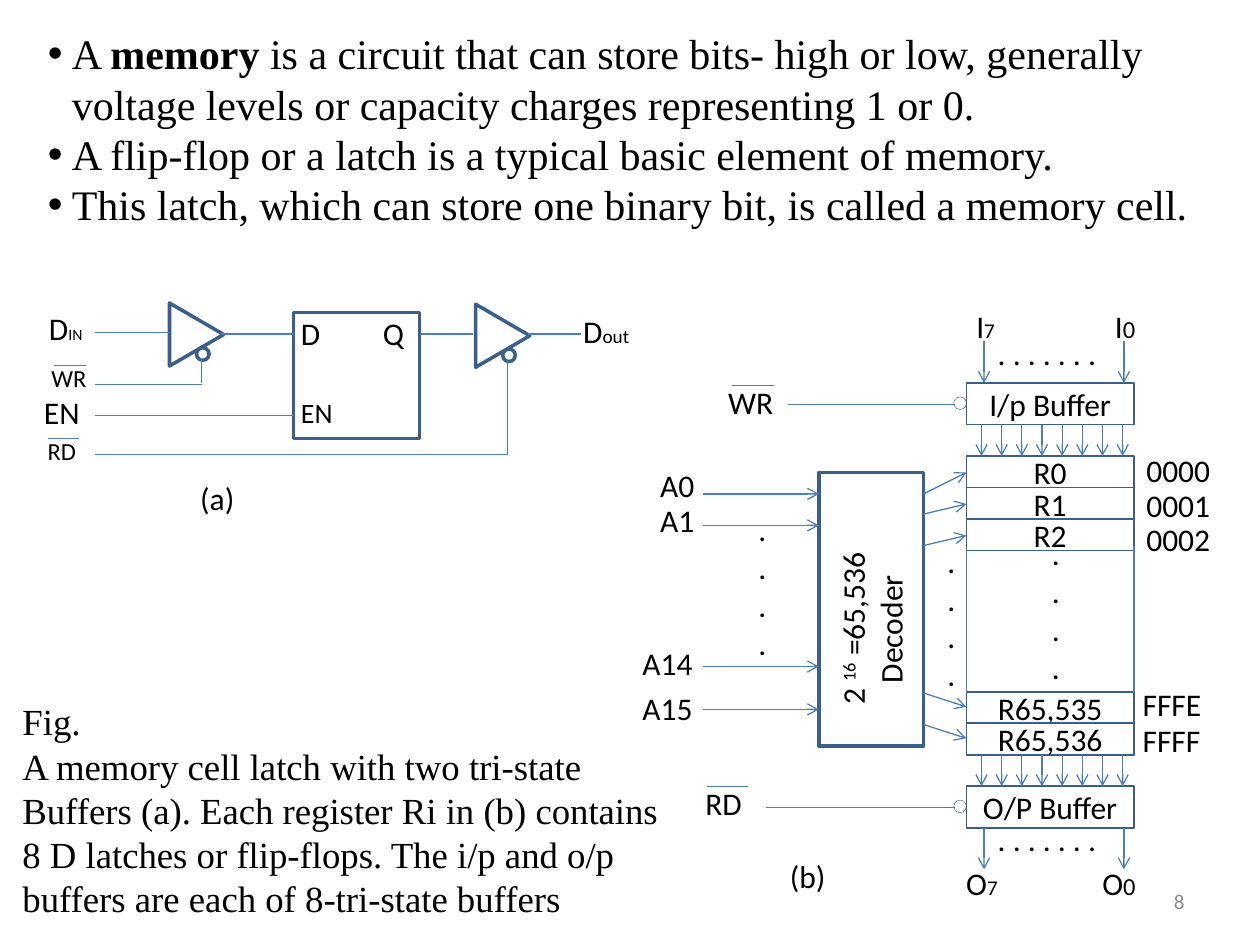
from dataclasses import dataclass
from typing import NamedTuple

from lxml import etree
from pptx import Presentation
from pptx.dml.color import RGBColor
from pptx.enum.shapes import MSO_CONNECTOR, MSO_SHAPE
from pptx.enum.text import MSO_ANCHOR, MSO_AUTO_SIZE, PP_ALIGN
from pptx.oxml.ns import qn
from pptx.util import Inches, Pt

RECT, TRIANGLE, CIRCLE = MSO_SHAPE.RECTANGLE, MSO_SHAPE.ISOSCELES_TRIANGLE, MSO_SHAPE.FLOWCHART_CONNECTOR
STRAIGHT = MSO_CONNECTOR.STRAIGHT
LEFT, CENTER, RIGHT = PP_ALIGN.LEFT, PP_ALIGN.CENTER, PP_ALIGN.RIGHT
TOP, MIDDLE = MSO_ANCHOR.TOP, MSO_ANCHOR.MIDDLE
FIT, FIXED = MSO_AUTO_SIZE.SHAPE_TO_FIT_TEXT, MSO_AUTO_SIZE.NONE


@dataclass(frozen=True)
class Theme:
    ink: RGBColor = RGBColor(0, 0, 0)
    muted: RGBColor = RGBColor(0x8C, 0x8C, 0x8C)
    outline: RGBColor = RGBColor(0x3A, 0x5F, 0x8C)
    wire: RGBColor = RGBColor(0x4B, 0x7E, 0xBC)
    label_font: str = "Calibri"
    text_font: str = "Times New Roman"
    body: float = 24
    caption: float = 21
    label: float = 18
    port: float = 16
    small: float = 14
    tiny: float = 12
    out_sub: float = 11
    in_sub: float = 9
    thick: float = 2
    thin: float = 1
    wire_width: float = 0.75
    hairline: float = 0.25


T = Theme()


class Label(NamedTuple):
    text: str
    x: float
    y: float
    w: float
    size: float = T.label
    sub: str = ""
    sub_size: float = T.small
    h: float = 0.4


class Wire(NamedTuple):
    x1: float
    y1: float
    x2: float
    y2: float


def style(r, size: float, font: str = T.label_font, color: RGBColor = T.ink) -> None:
    r.font.size, r.font.name = Pt(size), font
    r.font.color.rgb = color


def style_all(tf, size: float, font: str = T.label_font, color: RGBColor = T.ink, align=LEFT) -> None:
    for p in tf.paragraphs:
        p.alignment = align
        for r in p.runs:
            style(r, size, font, color)


def add_box(shapes, x: float, y: float, w: float, h: float, text: str, size: float,
            font: str = T.label_font, color: RGBColor = T.ink, align=LEFT, anchor=TOP):
    tf = shapes.add_textbox(Inches(x), Inches(y), Inches(w), Inches(h)).text_frame
    tf.word_wrap, tf.vertical_anchor = True, anchor
    tf.text = text
    style_all(tf, size, font, color, align)
    return tf


def add_label(shapes, label: Label) -> None:
    tf = add_box(shapes, label.x, label.y, label.w, label.h, label.text, label.size)
    tf.word_wrap, tf.auto_size = False, FIT
    if label.sub:
        r = tf.paragraphs[0].add_run()
        r.text = label.sub
        style(r, label.sub_size)


def add_outline(shapes, kind, x: float, y: float, w: float, h: float, width: float,
                text: str = "", rotation: float = 0):
    sp = shapes.add_shape(kind, Inches(x), Inches(y), Inches(w), Inches(h))
    sp.shadow.inherit = False
    sp.fill.background()
    sp.line.color.rgb, sp.line.width = T.outline, Pt(width)
    sp.rotation = rotation
    if text:
        tf = sp.text_frame
        tf.text, tf.vertical_anchor = text, MIDDLE
        style_all(tf, T.label, align=CENTER)
    return sp


def add_wire(shapes, wire: Wire, arrow: bool = False) -> None:
    x1, y1, x2, y2 = (Inches(v) for v in wire)
    cx = shapes.add_connector(STRAIGHT, x1, y1, x2, y2)
    cx.line.color.rgb, cx.line.width = T.wire, Pt(T.wire_width)
    if arrow:
        etree.SubElement(cx.line._get_or_add_ln(), qn("a:tailEnd"), type="arrow")
    etree.SubElement(cx._element.spPr, qn("a:effectLst"))


def indent(p, left: float, first: float = 0) -> None:
    pPr = p._p.get_or_add_pPr()
    pPr.set("marL", str(Inches(left)))
    pPr.set("indent", str(Inches(first)))


def add_bullets(s) -> None:
    title, body = s.placeholders[0], s.placeholders[1]
    title._element.getparent().remove(title._element)
    body.left, body.top, body.width, body.height = Inches(0.28), Inches(0.17), Inches(9.47), Inches(1.72)
    tf = body.text_frame
    tf.auto_size, tf.word_wrap = FIXED, True
    tf.text = ("A \n"
               "A flip-flop or a latch is a typical basic element of memory.\n"
               "This latch, which can store one binary bit, is called a memory cell.")
    first = tf.paragraphs[0]
    term, rest = first.add_run(), first.add_run()
    term.text, term.font.bold = "memory", True
    rest.text = (" is a circuit that can store bits- high or low, generally voltage levels "
                 "or capacity charges representing 1 or 0.")
    for p in tf.paragraphs:
        indent(p, 0.19, -0.19)
        p.space_before = Pt(0)
    style_all(tf, T.body, T.text_font)


def draw_latch(shapes) -> None:
    for x, y in ((1.31, 2.44), (3.74, 2.45)):
        add_outline(shapes, TRIANGLE, x, y, 0.5, 0.43, T.thick, rotation=90)
        add_outline(shapes, CIRCLE, x + 0.25, y + 0.32, 0.1, 0.1, T.thick)
    add_outline(shapes, RECT, 2.33, 2.48, 1, 1, T.thick)
    for wire in (Wire(1.75, 2.65, 2.33, 2.65), Wire(0.75, 2.64, 1.35, 2.64), Wire(1.6, 2.84, 1.6, 3.04),
                 Wire(0.75, 3.05, 1.6, 3.05), Wire(0.75, 3.3, 2.33, 3.3), Wire(3.33, 2.65, 3.75, 2.65),
                 Wire(4.03, 2.86, 4.03, 3.61), Wire(0.75, 3.61, 4.03, 3.61), Wire(4.19, 2.65, 4.61, 2.65),
                 Wire(0.43, 2.9, 0.68, 2.9), Wire(0.38, 3.48, 0.63, 3.48)):
        add_wire(shapes, wire)
    for label in (Label("D", 2.29, 2.44, 0.38), Label("Q", 2.94, 2.44, 0.4),
                  Label("EN", 2.29, 3.09, 0.51, T.port, h=0.37),
                  Label("D", 0.29, 2.4, 0.52, sub="IN", sub_size=T.in_sub),
                  Label("WR", 0.31, 2.83, 0.53, T.small, h=0.34), Label("EN", 0.25, 3.07, 0.55),
                  Label("RD", 0.28, 3.41, 0.49, T.small, h=0.34),
                  Label("D", 4.53, 2.43, 0.62, sub="out", sub_size=T.out_sub)):
        add_label(shapes, label)


def draw_decoder(shapes) -> None:
    sp = add_outline(shapes, RECT, 5.83, 4.42, 2.17, 0.83, T.thick, "2 \nDecoder", 270)
    base, name = sp.text_frame.paragraphs
    power, total = base.add_run(), base.add_run()
    power.text, total.text = "16", " =65,536"
    power.font._element.set("baseline", "30000")
    style_all(sp.text_frame, T.label)
    indent(base, 0.23)
    indent(name, 0.4)
    for text, x, y, w, wire_y in (("A0", 5.14, 3.65, 0.51, 3.92), ("A1", 5.14, 3.93, 0.51, 4.17),
                                  ("A14", 5, 5.06, 0.65, 5.29), ("A15", 5, 5.42, 0.65, 5.63)):
        add_label(shapes, Label(text, x, y, w))
        add_wire(shapes, Wire(5.58, wire_y, 6.5, wire_y), arrow=True)
    for y1, y2 in ((3.92, 3.75), (4.08, 4), (4.33, 4.25), (5.5, 5.61), (5.75, 5.86)):
        add_wire(shapes, Wire(7.33, y1, 7.67, y2), arrow=True)


def draw_registers(shapes) -> None:
    for start, names in ((3.62, ("R0", "R1", "R2")), (5.49, ("R65,535", "R65,536"))):
        for i, name in enumerate(names):
            add_outline(shapes, RECT, 7.67, start + 0.25 * i, 1.33, 0.25, T.thin, name)
    for x in (7.67, 9):
        add_wire(shapes, Wire(x, 4.33, x, 5.5))
    for x, y in ((7.42, 4.25), (5.92, 4), (8.25, 4.19)):
        add_box(shapes, x, y, 0.25, 1.31, "\n".join("...."), T.label)
    for text, x, y in (("0000", 9, 3.53), ("0001", 9, 3.81), ("0002", 9, 4.08),
                       ("FFFE", 8.97, 5.39), ("FFFF", 8.97, 5.67)):
        add_label(shapes, Label(text, x, y, 0.8))


def draw_buffer(shapes, name: str, top: float, pins: float, bus: float, dots: float,
                control: Label, control_x: float, bar: Wire) -> None:
    add_outline(shapes, RECT, 7.67, top, 1.33, 0.33, T.thin, name)
    for x in (7.81, 8.92):
        add_wire(shapes, Wire(x, pins, x, pins + 0.33), arrow=True)
    for i in range(8):
        x = 7.79 + 0.16 * i
        add_wire(shapes, Wire(x, bus, x, bus + 0.25), arrow=True)
    add_label(shapes, Label(". . . . . . .", 7.82, dots, 1.11))
    add_outline(shapes, CIRCLE, 7.57, top + 0.11, 0.1, 0.1, T.hairline)
    add_wire(shapes, Wire(control_x, top + 0.17, 7.58, top + 0.17))
    add_label(shapes, control)
    add_wire(shapes, bar)


def draw_memory(shapes) -> None:
    draw_decoder(shapes)
    draw_registers(shapes)
    draw_buffer(shapes, "I/p Buffer", 3.04, 2.71, 3.37, 2.6,
                Label("WR", 5.68, 2.99, 0.62), 6.25, Wire(5.81, 3.06, 6.14, 3.06))
    draw_buffer(shapes, "O/P Buffer", 6.24, 6.57, 5.99, 6.46,
                Label("RD", 5.5, 6.17, 0.57), 6.08, Wire(5.61, 6.24, 5.94, 6.24))
    for label in (Label("I", 7.65, 2.39, 0.37, sub="7", sub_size=T.tiny), Label("I", 8.75, 2.39, 0.38, sub="0"),
                  Label("O", 7.57, 6.81, 0.49, sub="7", sub_size=T.tiny), Label("O", 8.65, 6.81, 0.51, sub="0")):
        add_label(shapes, label)


def main() -> None:
    prs = Presentation()
    prs.slide_width, prs.slide_height = Inches(10), Inches(7.5)
    s = prs.slides.add_slide(prs.slide_layouts[1])
    add_bullets(s)
    draw_latch(s.shapes.add_group_shape().shapes)
    draw_memory(s.shapes.add_group_shape().shapes)
    add_box(s.shapes, 0.08, 5.5, 5.54, 1.87,
            "Fig.\nA memory cell latch with two tri-state\nBuffers (a). Each register Ri in (b) contains\n"
            "8 D latches or flip-flops. The i/p and o/p buffers are each of 8-tri-state buffers",
            T.caption, T.text_font)
    for label in (Label("(a)", 1.49, 3.75, 0.51), Label("(b)", 6.17, 6.75, 0.51)):
        add_label(s.shapes, label)
    add_box(s.shapes, 7.17, 6.95, 2.33, 0.4, "8", T.tiny, color=T.muted, align=RIGHT, anchor=MIDDLE)
    prs.save("out.pptx")


if __name__ == "__main__":
    main()
